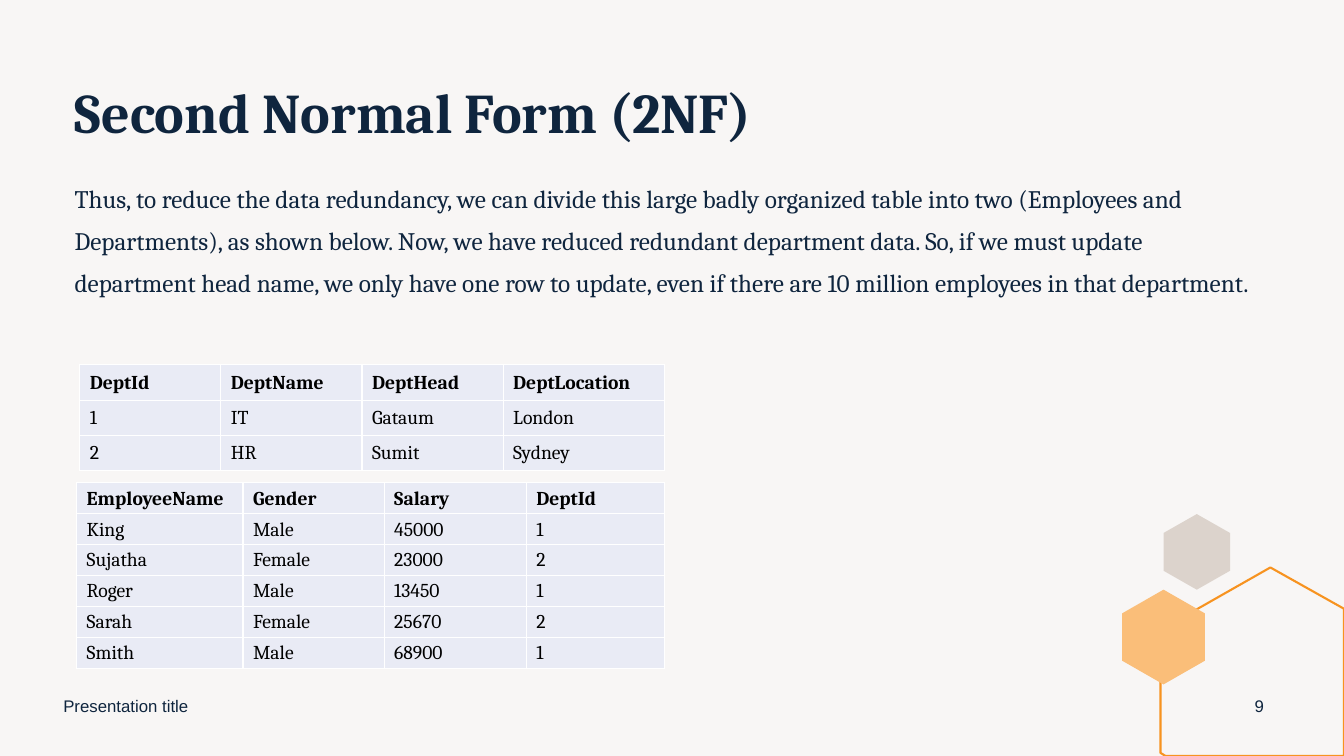
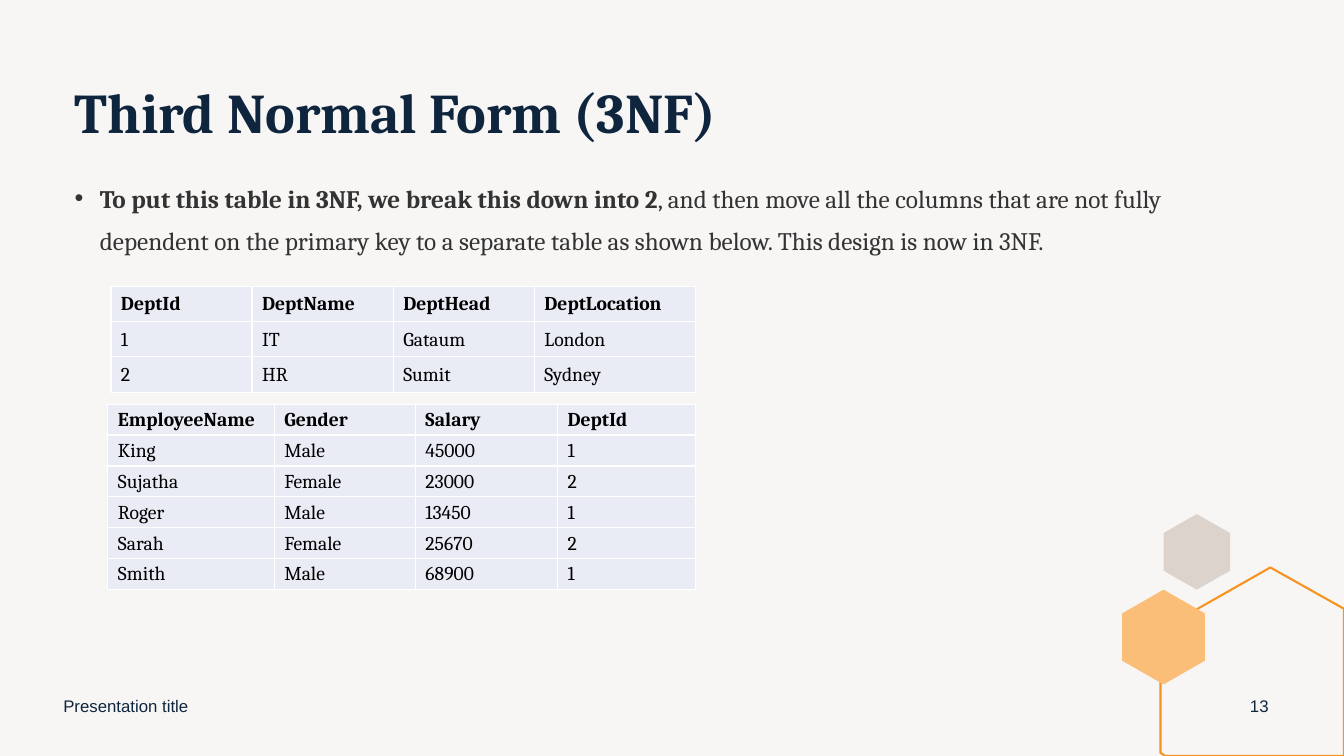
from lxml import etree
from pptx import Presentation
from pptx.dml.color import RGBColor
from pptx.enum.text import MSO_ANCHOR, MSO_AUTO_SIZE, PP_ALIGN
from pptx.oxml.ns import qn
from pptx.util import Inches, Pt

TOP, MIDDLE = MSO_ANCHOR.TOP, MSO_ANCHOR.MIDDLE
LEFT, CENTER = PP_ALIGN.LEFT, PP_ALIGN.CENTER
NO_AUTOFIT = MSO_AUTO_SIZE.NONE

PAPER = RGBColor(0xF8, 0xF6, 0xF5)
NAVY = RGBColor(0x0F, 0x25, 0x3E)
CHARCOAL = RGBColor(0x33, 0x33, 0x33)
BLACK = RGBColor(0, 0, 0)
TAUPE = RGBColor(0xDC, 0xD3, 0xCC)
ORANGE = RGBColor(0xF7, 0x93, 0x20)
APRICOT = RGBColor(0xFA, 0xBE, 0x79)
CELL_BLUE = RGBColor(0xE9, 0xEB, 0xF5)

SERIF, SANS = "Cambria", "Arial"
HOUSE_OUTLINE = [(12.6, 5.63), (13.33, 6.04), (13.33, 7.5),
                 (11.56, 7.5), (11.51, 7.47), (11.51, 6.25)]

DEPARTMENTS = [
    ("DeptId", "DeptName", "DeptHead", "DeptLocation"),
    ("1", "IT", "Gataum", "London"),
    ("2", "HR", "Sumit", "Sydney"),
]
EMPLOYEES = [
    ("EmployeeName", "Gender", "Salary", "DeptId"),
    ("King", "Male", "45000", "1"),
    ("Sujatha", "Female", "23000", "2"),
    ("Roger", "Male", "13450", "1"),
    ("Sarah", "Female", "25670", "2"),
    ("Smith", "Male", "68900", "1"),
]

SECOND_FORM_TEXT = (
    "Thus, to reduce the data redundancy, we can divide this large badly organized "
    "table into two (Employees and Departments), as shown below. Now, we have reduced "
    "redundant department data. So, if we must update department head name, we only "
    "have one row to update, even if there are 10 million employees in that department."
)
THIRD_FORM_LEAD = "To put this table in 3NF, we break this down into 2"
THIRD_FORM_TEXT = (
    ", and then move all the columns that are not fully dependent on the primary key "
    "to a separate table as shown below. This design is now in 3NF."
)


def style(span, size, color, bold=False, font=SERIF):
    span.font.name = font
    span.font.size = Pt(size)
    span.font.bold = bold
    span.font.color.rgb = color


def place(shape, left, top, width, height):
    shape.left, shape.top = Inches(left), Inches(top)
    shape.width, shape.height = Inches(width), Inches(height)


def add_outline(page, points, fill=None, line=None):
    """Draw a closed polygon through points given in inches."""
    corners = [(Inches(x), Inches(y)) for x, y in points]
    builder = page.shapes.build_freeform(*corners[0])
    builder.add_line_segments(corners[1:], close=True)
    shape = builder.convert_to_shape()
    shape.shadow.inherit = False
    if fill is None:
        shape.fill.background()
    else:
        shape.fill.solid()
        shape.fill.fore_color.rgb = fill
    if line is None:
        shape.line.fill.background()
    else:
        shape.line.color.rgb = line
        shape.line.width = Pt(1.5)


def add_hexagon(page, left, top, width, height, fill):
    middle, right = left + width / 2, left + width
    upper, lower = top + height / 4, top + height * 3 / 4
    add_outline(page, [(middle, top), (right, upper), (right, lower),
                       (middle, top + height), (left, lower), (left, upper)], fill)


def add_footer_text(page, text, left, width, align):
    box = page.shapes.add_textbox(Inches(left), Inches(6.8), Inches(width), Inches(0.4))
    frame = box.text_frame
    frame.word_wrap = True
    frame.vertical_anchor = MIDDLE
    frame.text = text
    para = frame.paragraphs[0]
    para.alignment = align
    style(para.runs[0], 12, NAVY, font=SANS)


def add_page(deck, title, number):
    page = deck.slides.add_slide(deck.slide_layouts[1])
    add_hexagon(page, 11.54, 5.1, 0.66, 0.75, TAUPE)
    add_outline(page, HOUSE_OUTLINE, line=ORANGE)
    add_hexagon(page, 11.13, 5.85, 0.82, 0.94, APRICOT)

    heading = page.shapes.title
    place(heading, 0.64, 0.79, 11.91, 0.75)
    frame = heading.text_frame
    frame.text = title
    frame.auto_size = NO_AUTOFIT
    frame.vertical_anchor = TOP
    para = frame.paragraphs[0]
    para.alignment = LEFT
    para.line_spacing = 0.9
    style(para.runs[0], 40, NAVY, bold=True)

    add_footer_text(page, "Presentation title", 0.53, 4.5, LEFT)
    add_footer_text(page, str(number), 12.24, 0.5, CENTER)
    return page


def set_bullet(para, bullet):
    """Give the paragraph a hanging bullet, or none."""
    indent = Inches(0.25) if bullet else 0
    properties = para._p.get_or_add_pPr()
    properties.set("marL", str(indent))
    properties.set("indent", str(-indent))
    if bullet:
        etree.SubElement(properties, qn("a:buChar"), char=bullet)
    else:
        etree.SubElement(properties, qn("a:buNone"))


def fill_body(page, parts, color, bullet=None):
    """Fill the body with (text, bold) parts forming one paragraph."""
    body = page.placeholders[1]
    place(body, 0.64, 1.65, 11.91, 5.06)
    frame = body.text_frame
    frame.auto_size = NO_AUTOFIT
    frame.vertical_anchor = TOP
    para = frame.paragraphs[0]
    para.line_spacing = Pt(30)
    para.space_before = Pt(10)
    set_bullet(para, bullet)
    for text, bold in parts:
        span = para.add_run()
        span.text = text
        style(span, 18, color, bold)


def set_white_borders(cell):
    properties = cell._tc.get_or_add_tcPr()
    for side in ("a:lnL", "a:lnR", "a:lnT", "a:lnB"):
        line = etree.SubElement(properties, qn(side), w=str(Pt(1)))
        fill = etree.SubElement(line, qn("a:solidFill"))
        etree.SubElement(fill, qn("a:srgbClr"), val="FFFFFF")


def fill_cell(cell, text, bold):
    set_white_borders(cell)
    cell.fill.solid()
    cell.fill.fore_color.rgb = CELL_BLUE
    cell.vertical_anchor = MIDDLE
    cell.margin_left = Inches(0.1)
    cell.margin_top = cell.margin_right = Inches(0.01)
    cell.margin_bottom = 0
    cell.text_frame.text = text
    style(cell.text_frame.paragraphs[0].runs[0], 14, BLACK, bold)


def add_data_table(page, rows, left, top, widths, height):
    """Add a table with equal rows and a bold first row."""
    table = page.shapes.add_table(
        len(rows), len(widths), Inches(left), Inches(top),
        Inches(sum(widths)), Inches(height)).table
    table.first_row = table.horz_banding = False
    for column, width in zip(table.columns, widths):
        column.width = Inches(width)
    for row_index, values in enumerate(rows):
        for column_index, value in enumerate(values):
            fill_cell(table.cell(row_index, column_index), value, row_index == 0)


def add_normalized_tables(page, left, top):
    """Stack the department table above the employee table."""
    add_data_table(page, DEPARTMENTS, left, top, (1.4, 1.4, 1.4, 1.6), 1.05)
    add_data_table(page, EMPLOYEES, left - 0.03, top + 1.17,
                   (1.65, 1.4, 1.41, 1.37), 1.84)


def main():
    deck = Presentation()
    deck.slide_width, deck.slide_height = Inches(13.33), Inches(7.5)
    background = deck.slide_master.background.fill
    background.solid()
    background.fore_color.rgb = PAPER

    page = add_page(deck, "Second Normal Form (2NF)", 9)
    fill_body(page, [(SECOND_FORM_TEXT, False)], NAVY)
    add_normalized_tables(page, 0.79, 3.62)

    page = add_page(deck, "Third Normal Form (3NF)", 13)
    fill_body(page, [(THIRD_FORM_LEAD, True), (THIRD_FORM_TEXT, False)], CHARCOAL, "•")
    add_normalized_tables(page, 1.1, 2.84)

    deck.save("out.pptx")


if __name__ == "__main__":
    main()
